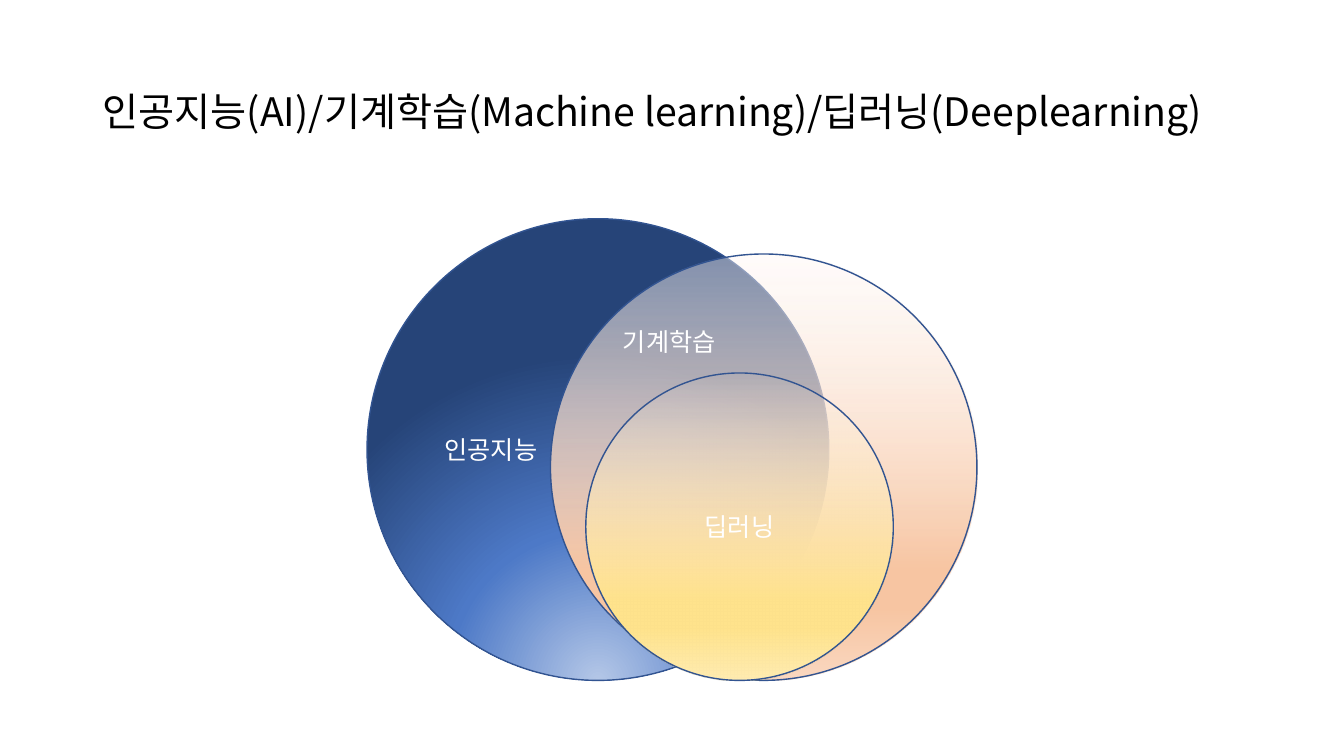
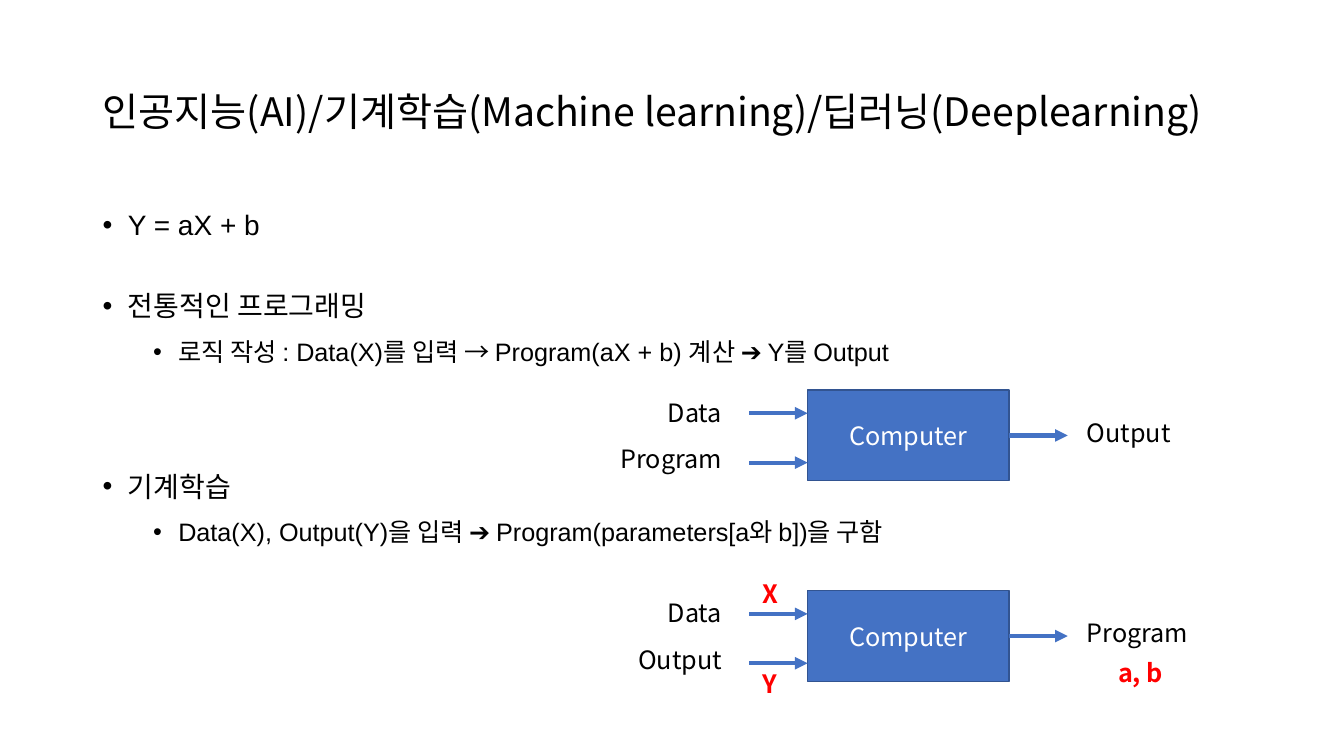
import pptx
import pptx.util
import pptx.oxml
import pptx.oxml.ns
import pptx.dml.color
import pptx.enum.shapes
import pptx.enum.text

Inches = pptx.util.Inches
Pt = pptx.util.Pt
ALIGN = pptx.enum.text.PP_ALIGN
ANCHOR = pptx.enum.text.MSO_ANCHOR
SHAPE = pptx.enum.shapes.MSO_SHAPE

COLORS = {"text": "000000", "white": "FFFFFF", "blue": "4472C4",
          "outline": "325491", "red": "FF0000"}
KOREAN = "Noto Sans CJK KR"
TITLE = "인공지능(AI)/기계학습(Machine learning)/딥러닝(Deeplearning)"
RADIAL = ('<a:path path="circle">'
          '<a:fillToRect l="50000" t="130000" r="50000" b="-30000"/></a:path>')
LINEAR = '<a:lin ang="5400000" scaled="0"/>'
CIRCLES = [
    (3.64, 2.17, 4.58, "인공지능", ALIGN.LEFT, ANCHOR.MIDDLE, RADIAL,
     [(0, "B4C7E7", 100), (46, "4D79C7", 100), (100, "264478", 100)]),
    (5.46, 2.52, 4.23, "기계학습", ALIGN.LEFT, ANCHOR.TOP, LINEAR,
     [(0, "FEF8F5", 42), (74, "F7C5A2", 100), (83, "F7C5A2", 100), (100, "FAD8C1", 100)]),
    (5.81, 3.7, 3.05, "딥러닝", ALIGN.CENTER, ANCHOR.MIDDLE, LINEAR,
     [(0, "FFFCF2", 0), (74, "FFE38C", 100), (83, "FFE38C", 100), (100, "FFECB2", 100)]),
]
BULLETS = [
    (0, 0, "Y = aX + b"),
    (0, 30, "전통적인 프로그래밍"),
    (1, 6, "로직 작성 : Data(X)를 입력 → Program(aX + b) 계산 ➔ Y를 Output"),
    (0, 70, "기계학습"),
    (1, 6, "Data(X), Output(Y)을 입력 ➔ Program(parameters[a와 b])을 구함"),
]


def rgb(name):
    """Return the named colour."""
    return pptx.dml.color.RGBColor.from_string(COLORS[name])


def xml(text):
    """Parse a DrawingML element."""
    head, rest = text.split(" ", 1) if " " in text.split(">")[0] else (text[:-2], "/>")
    return pptx.oxml.parse_xml(f"{head} {pptx.oxml.ns.nsdecls('a')} {rest}")


def style(p, size=18, color="text", bold=False, latin=KOREAN):
    """Format every run of a paragraph."""
    for r in p.runs:
        r.font.size = Pt(size)
        r.font.bold = bold
        r.font.color.rgb = rgb(color)
        r.font.name = latin
        r.font._element.find(pptx.oxml.ns.qn("a:latin")).addnext(
            xml(f'<a:ea typeface="{KOREAN}"/>'))


def add_slide(prs):
    """Add a slide with the shared title."""
    s = prs.slides.add_slide(prs.slide_layouts[5])
    sp = s.shapes.title
    sp.left, sp.top, sp.width, sp.height = map(Inches, (0.92, 0.4, 11.5, 1.45))
    tf = sp.text_frame
    tf.text = TITLE
    tf.word_wrap = True
    tf.auto_size = pptx.enum.text.MSO_AUTO_SIZE.NONE
    tf.vertical_anchor = ANCHOR.MIDDLE
    p = tf.paragraphs[0]
    p.alignment = ALIGN.LEFT
    p.line_spacing = 0.9
    style(p, 28)
    return s


def add_box(s, kind, x, y, w, h, text, align=ALIGN.CENTER, anchor=ANCHOR.MIDDLE):
    """Add an outlined blue shape with white text."""
    sp = s.shapes.add_shape(kind, *map(Inches, (x, y, w, h)))
    sp.shadow.inherit = False
    sp.fill.solid()
    sp.fill.fore_color.rgb = rgb("blue")
    sp.line.color.rgb = rgb("outline")
    sp.line.width = Pt(1)
    tf = sp.text_frame
    tf.text = text
    tf.vertical_anchor = anchor
    tf.paragraphs[0].alignment = align
    style(tf.paragraphs[0], color="white")
    return sp


def add_circle(s, x, y, size, text, align, anchor, direction, stops):
    """Add a circle with a gradient fill."""
    sp = add_box(s, SHAPE.OVAL, x, y, size, size, text, align, anchor)
    if anchor == ANCHOR.TOP:
        sp.text_frame.margin_top = Inches(0.1)
    marks = "".join(
        f'<a:gs pos="{pos * 1000}"><a:srgbClr val="{color}">'
        f'<a:alpha val="{alpha * 1000}"/></a:srgbClr></a:gs>'
        for pos, color, alpha in stops)
    grad = xml(f'<a:gradFill rotWithShape="1"><a:gsLst>{marks}</a:gsLst>{direction}</a:gradFill>')
    spPr = sp._element.spPr
    spPr.replace(spPr.find(pptx.oxml.ns.qn("a:solidFill")), grad)


def add_label(s, x, y, w, text, align=ALIGN.LEFT, color="text", bold=False):
    """Add a one-line label."""
    tf = s.shapes.add_textbox(*map(Inches, (x, y, w, 0.4))).text_frame
    tf.word_wrap = True
    tf.text = text
    tf.paragraphs[0].alignment = align
    style(tf.paragraphs[0], color=color, bold=bold)


def add_arrow(s, x, y):
    """Add a short arrow pointing right."""
    c = s.shapes.add_connector(pptx.enum.shapes.MSO_CONNECTOR.STRAIGHT,
                               *map(Inches, (x, y, x + 0.58, y)))
    c.line.color.rgb = rgb("blue")
    c.line.width = Pt(3)
    c.line._get_or_add_ln().append(xml('<a:tailEnd type="triangle"/>'))
    c._element.spPr.append(xml("<a:effectLst/>"))


def add_flow(s, y, inputs, result):
    """Add a computer with two inputs and a result."""
    add_box(s, SHAPE.RECTANGLE, 8.01, y, 2, 0.9, "Computer")
    add_arrow(s, 10.01, y + 0.45)
    for i, text in enumerate(inputs):
        add_arrow(s, 7.43, y + 0.23 + 0.49 * i)
        add_label(s, 5.6, y + 0.02 + 0.46 * i, 1.66, text, ALIGN.RIGHT)
    add_label(s, 10.68, y + 0.22, 1.66, result)


def add_bullets(s):
    """Add the two-level bullet list."""
    tf = s.shapes.add_textbox(*map(Inches, (0.92, 2.05, 11.5, 4.7))).text_frame
    tf.word_wrap = True
    for i, (level, before, text) in enumerate(BULLETS):
        p = tf.add_paragraph() if i else tf.paragraphs[0]
        p.text = text
        p.level = level
        pPr = p._p.get_or_add_pPr()
        pPr.set("marL", str(Inches(0.25 + 0.5 * level)))
        pPr.set("indent", str(Inches(-0.25)))
        pPr.append(xml('<a:buFont typeface="Arial"/>'))
        pPr.append(xml('<a:buChar char="•"/>'))
        p.line_spacing = 0.9
        p.space_before = Pt(before)
        p.space_after = Pt(6)
        style(p, 20 - 2 * level, latin="Arial")


def main():
    """Build and save the presentation."""
    prs = pptx.Presentation()
    prs.slide_width, prs.slide_height = Inches(13.33), Inches(7.5)
    s = add_slide(prs)
    for circle in CIRCLES:
        add_circle(s, *circle)
    s = add_slide(prs)
    add_bullets(s)
    add_flow(s, 3.87, ("Data", "Program"), "Output")
    add_flow(s, 5.86, ("Data", "Output"), "Program")
    for x, y, w, text in [(7.46, 5.69, 0.46, "X"), (7.46, 6.58, 0.46, "Y"),
                          (10.99, 6.47, 0.82, "a, b")]:
        add_label(s, x, y, w, text, color="red", bold=True)
    prs.save("out.pptx")


if __name__ == "__main__":
    main()
